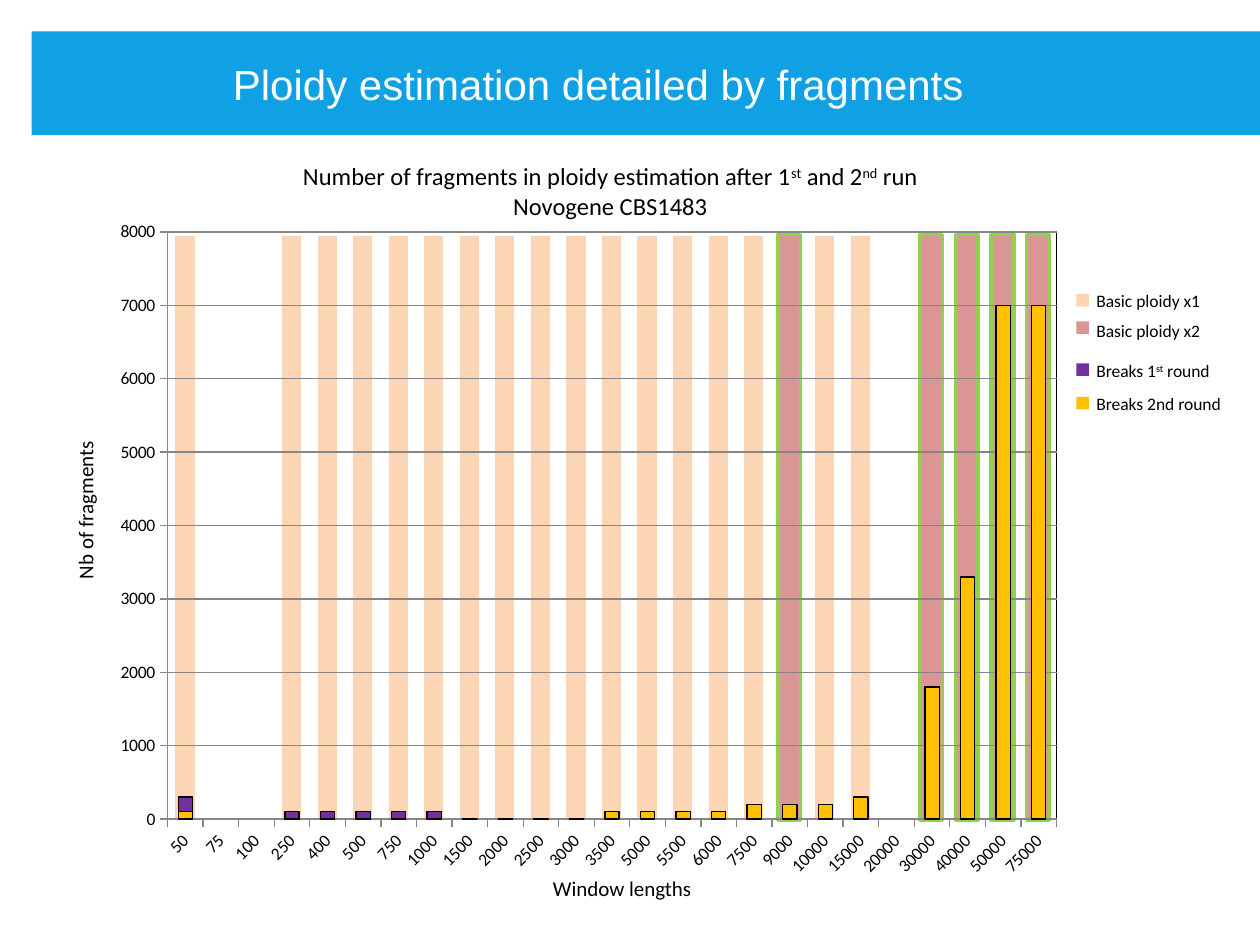
from lxml import etree
from pptx import Presentation, util as u
from pptx.chart import data
from pptx.dml import color
from pptx.enum import chart as charts, shapes, text
from pptx.oxml import ns, parse_xml

Pt = u.Pt
RGBColor = color.RGBColor
BLACK = RGBColor(0x00, 0x00, 0x00)
WHITE = RGBColor(0xFF, 0xFF, 0xFF)
GREY = RGBColor(0x86, 0x86, 0x86)
BLUE = RGBColor(0x0F, 0xA1, 0xE3)
PEACH = RGBColor(0xFC, 0xD5, 0xB5)
ROSE = RGBColor(0xD9, 0x96, 0x94)
GREEN = RGBColor(0x92, 0xD0, 0x50)
PURPLE = RGBColor(0x70, 0x30, 0xA0)
GOLD = RGBColor(0xFF, 0xC0, 0x00)

presentation = Presentation()
presentation.slide_width, presentation.slide_height = Pt(720), Pt(540)
slide = presentation.slides.add_slide(presentation.slide_layouts[6])


def add_box(left, top, width, height, fill, line=None):
    shape = slide.shapes.add_shape(
        shapes.MSO_SHAPE.RECTANGLE, Pt(left), Pt(top), Pt(width), Pt(height))
    shape.shadow.inherit = False
    shape.fill.solid()
    shape.fill.fore_color.rgb = fill
    if line is None:
        shape.line.fill.background()
    else:
        shape.line.color.rgb = line
        shape.line.width = Pt(2)


def add_text(left, top, width, height, lines, size, font="Calibri",
             ink=BLACK, align=None, wrap=True):
    """Each line is a list of runs; every second run is superscript."""
    shape = slide.shapes.add_textbox(Pt(left), Pt(top), Pt(width), Pt(height))
    frame = shape.text_frame
    frame.word_wrap = wrap
    for index, runs in enumerate(lines):
        paragraph = frame.paragraphs[0] if index == 0 else frame.add_paragraph()
        paragraph.alignment = align
        paragraph.font.size = Pt(size)
        paragraph.font.name = font
        paragraph.font.color.rgb = ink
        for position, words in enumerate(runs):
            run = paragraph.add_run()
            run.text = words
            if position % 2:
                run.font._element.set("baseline", "30000")
    return shape


# Data: window length, fragments in series 1 and series 2
fragments = [
    (50, 100, 200), (75, None, None), (100, None, None), (250, 0, 100),
    (400, 0, 100), (500, 0, 100), (750, 0, 100), (1000, 0, 100),
    (1500, 0, 0), (2000, 0, 0), (2500, 0, 0), (3000, 0, 0),
    (3500, 100, 0), (5000, 100, 0), (5500, 100, 0), (6000, 100, 0),
    (7500, 200, 0), (9000, 200, 0), (10000, 200, 0), (15000, 300, 0),
    (20000, None, None), (30000, 1800, 0), (40000, 3300, 0),
    (50000, 7000, 0), (75000, 7000, 0),
]

# Ploidy bands behind the columns, one per window length with data
double_ploidy = {9000, 30000, 40000, 50000, 75000}
for index, (length, first, second) in enumerate(fragments):
    if first is None:
        continue
    fill, line = (ROSE, GREEN) if length in double_ploidy else (PEACH, WHITE)
    add_box(99.2 + 20.31 * index, 134, 13, 334.8, fill, line)

# Title bar
add_box(18, 18, 702, 59.3, BLUE)
add_text(126, 30.2, 553.7, 36, [["Ploidy estimation detailed by fragments"]],
         24, "Arial", WHITE)

# Chart heading and axis titles
add_text(99.2, 88.6, 499, 63.4,
         [["Number of fragments in ploidy estimation after 1", "st", " and 2",
           "nd", " run"], ["Novogene CBS1483"]],
         14, align=text.PP_ALIGN.CENTER)
axis_title = add_text(-7.9, 270.7, 113, 21.6, [["Nb of fragments"]], 12)
axis_title.rotation = 270
add_text(308.9, 496.8, 94.3, 21.6, [["Window lengths"]], 12, wrap=False)

# Legend
legend = [
    (PEACH, 168, 162, ["Basic ploidy x1"]),
    (ROSE, 183.6, 179.3, ["Basic ploidy x2"]),
    (PURPLE, 207.6, 202.3, ["Breaks 1", "st", " round"]),
    (GOLD, 226.8, 221, ["Breaks 2nd round"]),
]
for fill, swatch_top, label_top, runs in legend:
    add_box(615.1, swatch_top, 7.2, 7.2, fill)
    add_text(619.4, label_top, 100.6, 20, [runs], 10)

# Stacked column chart
chart_data = data.CategoryChartData()
chart_data.categories = [str(row[0]) for row in fragments]
chart_data.add_series("Series 1", [row[1] for row in fragments])
chart_data.add_series("Series 2", [row[2] for row in fragments])
chart = slide.shapes.add_chart(
    charts.XL_CHART_TYPE.COLUMN_STACKED, Pt(59.4), Pt(122.5), Pt(660.6),
    Pt(386.6), chart_data).chart
chart.has_legend = False
chart.has_title = False
chart.font.size = Pt(10)
chart.font.name = "Calibri"
chart.font.color.rgb = BLACK

plot = chart.plots[0]
plot.gap_width = 150
plot.overlap = 100
plot.vary_by_categories = False
for series, fill in zip(plot.series, (GOLD, PURPLE)):
    series.format.fill.solid()
    series.format.fill.fore_color.rgb = fill
    series.format.line.color.rgb = BLACK
    series.format.line.width = Pt(0.75)

for axis in (chart.category_axis, chart.value_axis):
    axis.major_tick_mark = charts.XL_TICK_MARK.OUTSIDE
    axis.format.line.color.rgb = GREY
    axis.format.line.width = Pt(0.75)
chart.category_axis.tick_labels.font.size = Pt(10)
category_text = chart.category_axis._element.find(ns.qn("c:txPr"))
category_text.find(ns.qn("a:bodyPr")).set("rot", "-2700000")
value_axis = chart.value_axis
value_axis.minimum_scale, value_axis.maximum_scale = 0, 8000
value_axis.major_unit = 1000
value_axis.has_major_gridlines = True
value_axis.major_gridlines.format.line.color.rgb = GREY
value_axis.major_gridlines.format.line.width = Pt(0.75)

# Fixed plot area, transparent so the bands show through
plot_area = chart._chartSpace.chart.plotArea
for old_layout in plot_area.findall(ns.qn("c:layout")):
    plot_area.remove(old_layout)
layout = etree.Element(ns.qn("c:layout"))
manual = etree.SubElement(layout, ns.qn("c:manualLayout"))
for tag, value in (("layoutTarget", "inner"), ("xMode", "edge"),
                   ("yMode", "edge"), ("x", "0.055"), ("y", "0.026"),
                   ("w", "0.769"), ("h", "0.868")):
    etree.SubElement(manual, ns.qn("c:" + tag)).set("val", value)
plot_area.insert(0, layout)
clear = "<c:spPr %s><a:noFill/><a:ln%s</a:ln></c:spPr>"
names = ns.nsdecls("c", "a")
plot_area.append(parse_xml(clear % (
    names, ' w="9525"><a:solidFill><a:srgbClr val="000000"/></a:solidFill>')))
chart._chartSpace.chart.addnext(parse_xml(clear % (names, "><a:noFill/>")))

presentation.save("out.pptx")
